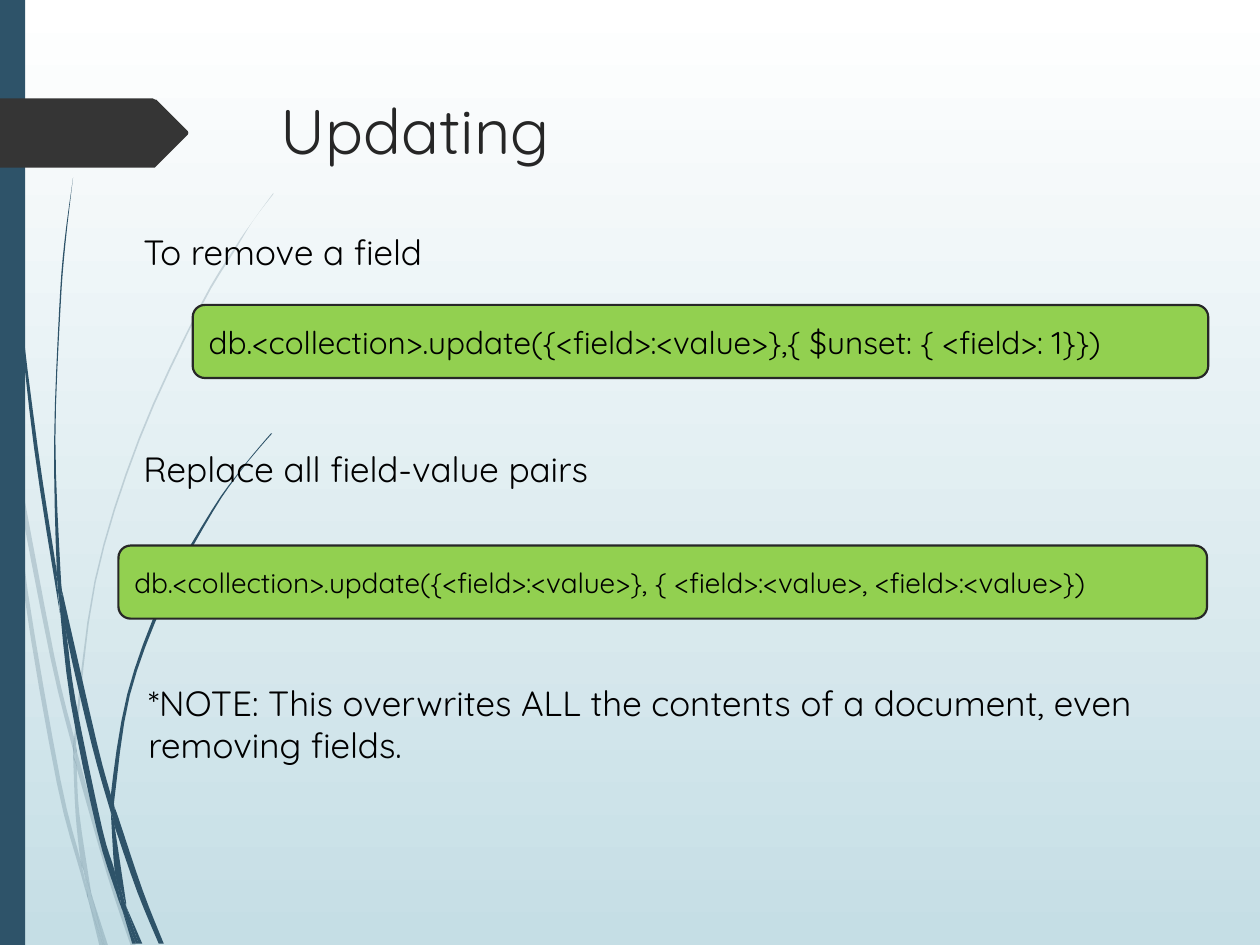
from typing import NamedTuple

from lxml.etree import SubElement
from pptx import Presentation
from pptx.dml.color import RGBColor
from pptx.enum.shapes import MSO_SHAPE
from pptx.enum.text import MSO_ANCHOR, PP_ALIGN
from pptx.oxml.ns import qn
from pptx.util import Emu, Pt

PX = 9144  # EMU in one px, 100 px to the inch
FONT = "Quicksand"
NAVY, DARK, GREEN, EDGE = "2E5369", "353535", "92D050", "272727"
BLACK, INK = "000000", "262626"
STEPS = 4  # straight pieces to one bend of a curve

Point = tuple[float, float]
Edge = list[Point]


class Box(NamedTuple):
    left: int
    top: int
    width: int
    height: int


class Label(NamedTuple):
    box: Box
    text: str
    size: int
    color: str = BLACK


# A wisp is closed by two smooth edges that meet at its tips.
PALE: list[tuple[Edge, Edge]] = [
    ([(8, 350), (6, 322), (0, 282)], [(0, 299), (7, 344), (8, 350)]),
    ([(10, 345), (43, 520), (59, 586)],
     [(59, 599), (40, 522), (12, 376), (10, 345)]),
    ([(61, 596), (64, 607), (88, 692), (108, 751)],
     [(104, 751), (85, 694), (61, 610)]),
    ([(73, 711), (86, 751)], [(83, 751), (73, 711)]),
    ([(8, 350), (12, 376), (22, 469), (48, 619), (64, 683), (69, 707), (70, 714)],
     [(70, 714), (64, 693), (45, 621), (19, 470), (8, 350)]),
    ([(58, 599), (60, 646), (64, 683), (67, 692), (73, 711)],
     [(73, 711), (72, 706), (63, 646), (61, 610), (61, 608), (58, 599)]),
    ([(61, 596), (61, 584), (76, 462), (111, 349), (159, 245), (187, 198),
      (201, 175), (217, 154)],
     [(217, 153), (201, 175), (186, 197), (158, 244), (110, 348), (75, 461),
      (59, 584), (59, 586), (61, 596)]),
    ([(70, 714), (79, 751)], [(82, 751), (70, 714)]),
    ([(59, 586), (58, 599), (61, 608)], [(61, 610), (61, 596), (59, 586)]),
    ([(65, 683), (69, 707), (70, 714), (82, 751)],
     [(83, 751), (73, 711), (67, 692), (65, 683)]),
]
DEEP: list[tuple[Edge, Edge]] = [
    ([(2, 0), (3, 48), (5, 110), (14, 233), (27, 355), (46, 477), (47, 481)],
     [(47, 481), (45, 457), (45, 453), (30, 355), (15, 232), (6, 109), (4, 48),
      (3, 0)]),
    ([(50, 472), (53, 505), (73, 592), (88, 645)],
     [(88, 633), (88, 631), (77, 590), (50, 472)]),
    ([(91, 641), (94, 649), (113, 706), (130, 749)],
     [(126, 749), (109, 708), (91, 656)]),
    ([(47, 477), (53, 505), (60, 556), (81, 657), (91, 691), (96, 717), (97, 722)],
     [(97, 722), (92, 708), (77, 659), (56, 557), (47, 477)]),
    ([(58, 141), (51, 193), (47, 245), (43, 349), (45, 449), (49, 472)],
     [(50, 472), (48, 453), (44, 349), (48, 245), (52, 193), (58, 141)]),
    ([(100, 719), (110, 749)], [(113, 749), (100, 719)]),
    ([(45, 449), (45, 453), (47, 477), (53, 505)],
     [(53, 505), (50, 472), (49, 472), (45, 449)]),
    ([(91, 641), (91, 633), (103, 552), (131, 476), (169, 406), (191, 374),
      (203, 359), (216, 344)],
     [(215, 344), (203, 358), (191, 373), (168, 405), (129, 474), (101, 551),
      (88, 631), (91, 641)]),
    ([(97, 722), (105, 749)], [(108, 749), (97, 722)]),
    ([(88, 645), (91, 691), (96, 706), (100, 719)],
     [(100, 716), (91, 656), (90, 651), (88, 645)]),
    ([(88, 631), (88, 633), (88, 645)],
     [(90, 651), (91, 656), (91, 641), (88, 631)]),
    ([(91, 691), (96, 717), (97, 722), (108, 749)],
     [(110, 749), (100, 719), (96, 706), (91, 691)]),
]
TAG: Edge = [(0, 78), (121, 78), (123, 79), (124, 79), (149, 104), (149.5, 105.5),
             (149, 107), (124, 132), (123, 133), (121, 133), (0, 133)]

CODES = [
    Label(Box(94, 433, 864, 58),
          "db.<collection>.update({<field>:<value>}, "
          "{ <field>:<value>, <field>:<value>})", 16),
    Label(Box(153, 242, 806, 58),
          "db.<collection>.update({<field>:<value>},{ $unset: { <field>: 1}})", 18),
]
TEXTS = [
    Label(Box(213, 68, 454, 77), "Updating", 36, INK),
    Label(Box(104, 178, 271, 47), "To remove a field", 20),
    Label(Box(104, 350, 413, 47), "Replace all field-value pairs", 20),
    Label(Box(108, 536, 864, 81),
          "*NOTE: This overwrites ALL the contents of a document, "
          "even removing fields.", 20),
]


def rgb(color: str) -> RGBColor:
    return RGBColor.from_string(color)


def place(box: Box) -> list[Emu]:
    return [Emu(n * PX) for n in box]


def smooth(edge: Edge) -> Edge:
    """Run a Catmull-Rom curve through the points of an edge."""
    pad = [edge[0], *edge, edge[-1]]
    curve = [edge[0]]
    for a, b, c, d in zip(pad, pad[1:], pad[2:], pad[3:]):
        for step in range(1, STEPS + 1):
            t = step / STEPS
            x, y = (
                q + t * (r - p) / 2
                + t**2 * (2 * p - 5 * q + 4 * r - s) / 2
                + t**3 * (3 * q - p - 3 * r + s) / 2
                for p, q, r, s in zip(a, b, c, d)
            )
            curve.append((x, y))
    return curve


def paint(shape, color: str, alpha: int = 100) -> None:
    """Give a shape a flat fill with no line and no shadow."""
    shape.shadow.inherit = False
    shape.fill.solid()
    shape.fill.fore_color.rgb = rgb(color)
    shape.line.fill.background()
    if alpha < 100:
        tint = shape.fill._xPr.find(".//" + qn("a:srgbClr"))
        SubElement(tint, qn("a:alpha")).set("val", str(alpha * 1000))


def outline(shapes, points: Edge, color: str, alpha: int = 100) -> None:
    """Draw a closed outline through the points."""
    start, *rest = [(x * PX, y * PX) for x, y in points]
    pen = shapes.build_freeform(*start, scale=1.0)
    pen.add_line_segments(rest, close=True)
    paint(pen.convert_to_shape(), color, alpha)


def write(shape, label: Label) -> None:
    frame = shape.text_frame
    frame.word_wrap = True
    para = frame.paragraphs[0]
    para.text = label.text
    para.alignment = PP_ALIGN.LEFT
    para.font.name = FONT
    para.font.size = Pt(label.size)
    para.font.color.rgb = rgb(label.color)


def code(shapes, label: Label) -> None:
    """Draw a green box that holds one command."""
    shape = shapes.add_shape(MSO_SHAPE.ROUNDED_RECTANGLE, *place(label.box))
    paint(shape, GREEN)
    shape.line.color.rgb = rgb(EDGE)
    shape.line.width = Pt(1.25)
    write(shape, label)
    shape.text_frame.vertical_anchor = MSO_ANCHOR.MIDDLE


def main() -> None:
    deck = Presentation()
    deck.slide_width, deck.slide_height = Emu(1000 * PX), Emu(750 * PX)
    slide = deck.slides.add_slide(deck.slide_layouts[6])
    shapes = slide.shapes

    back = slide.background.fill
    back.gradient()
    back.gradient_angle = 270
    for stop, color in zip(back.gradient_stops, ("FFFFFF", "C5DEE5")):
        stop.color.rgb = rgb(color)

    for wisps, alpha in ((PALE, 20), (DEEP, 100)):
        for down, up in wisps:
            outline(shapes, smooth(down) + smooth(up), NAVY, alpha)
    bar = shapes.add_shape(MSO_SHAPE.RECTANGLE, *place(Box(0, 0, 20, 750)))
    paint(bar, NAVY)
    outline(shapes, TAG, DARK)

    for label in CODES:
        code(shapes, label)
    for label in TEXTS:
        write(shapes.add_textbox(*place(label.box)), label)
    deck.save("out.pptx")


if __name__ == "__main__":
    main()
